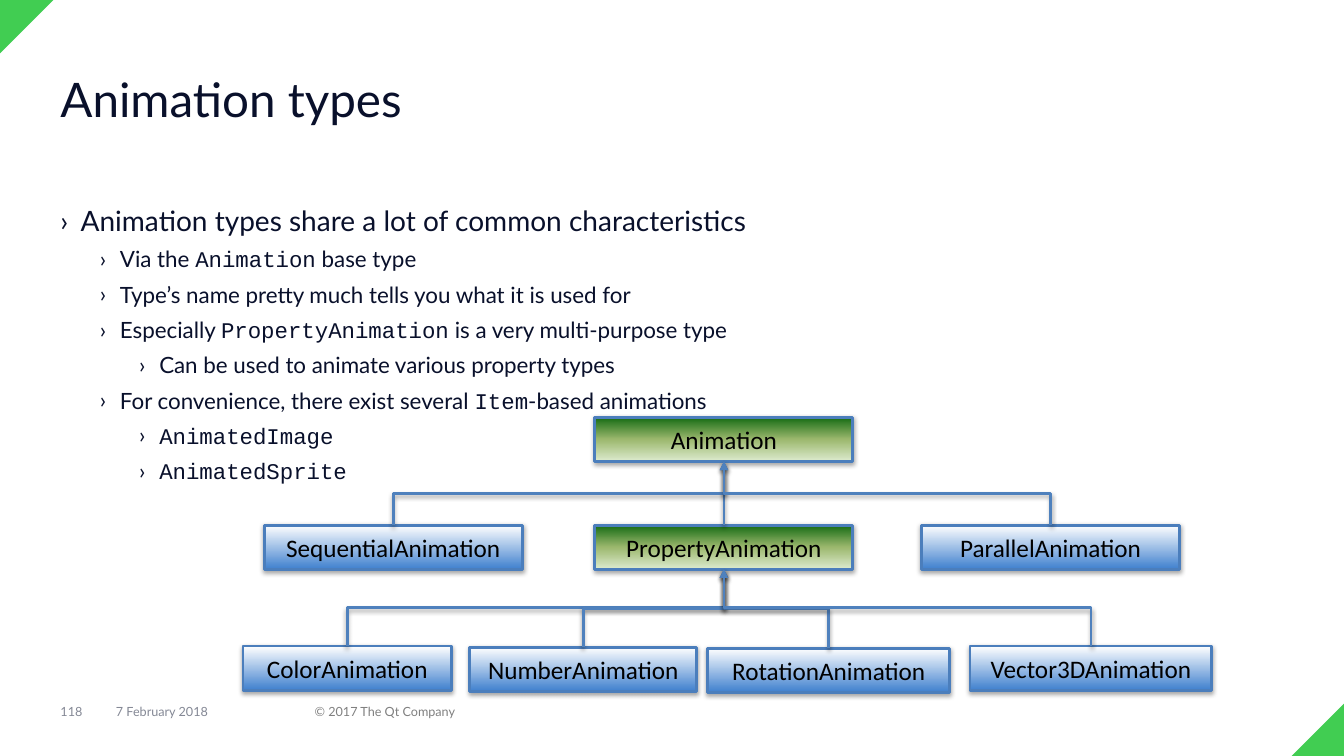
from lxml import etree
from pptx import Presentation, util as u
from pptx.dml import color
from pptx.enum import shapes, text
from pptx.oxml import ns

PX = 9144
HUES = {"green": "41CD52", "ink": "09102B", "grey": "848895", "copy": "808080",
        "edge": "4B7EBC", "link": "4F81BD", "black": "000000"}
GRADS = {"leaf": [(0, "DDEBCF"), (50, "9CB86E"), (100, "156B13")],
         "sky": [(0, "3F80CE"), (100, "FFFFFF")]}
FLAT = {"margin_left": 0, "margin_right": 0, "margin_top": 0,
        "margin_bottom": 0, "word_wrap": True}
MID = text.MSO_ANCHOR.MIDDLE
BULLETS = [
    (0, "Animation types share a lot of common characteristics"),
    (1, "Via the `Animation` base type"),
    (1, "Type’s name pretty much tells you what it is used for"),
    (1, "Especially `PropertyAnimation` is a very multi-purpose type"),
    (2, "Can be used to animate various property types"),
    (1, "For convenience, there exist several `Item`-based animations"),
    (2, "`AnimatedImage`"),
    (2, "`AnimatedSprite`"),
]
NODES = [
    ("Animation", None, "leaf", 590, 414, 256),
    ("PropertyAnimation", "Animation", "leaf", 590, 521, 256),
    ("SequentialAnimation", "Animation", "sky", 262, 521, 256),
    ("ParallelAnimation", "Animation", "sky", 914, 521, 256),
    ("ColorAnimation", "PropertyAnimation", "sky", 241, 641, 207),
    ("NumberAnimation", "PropertyAnimation", "sky", 466, 642, 225),
    ("RotationAnimation", "PropertyAnimation", "sky", 702, 643, 240),
    ("Vector3DAnimation", "PropertyAnimation", "sky", 962, 641, 240),
]
FOOT = [("118", 60, 55, "grey"), ("7 February 2018", 115, 197, "grey"),
        ("© 2017 The Qt Company", 312, 961, "copy")]


def px(*nums):
    """Turn px lengths into EMU."""
    return [u.Emu(round(n * PX)) for n in nums]


def rgb(name):
    """Look up a named colour."""
    return color.RGBColor.from_string(HUES[name])


def put(obj, vals):
    """Set each attribute in a dict of format values."""
    for key, val in vals.items():
        setattr(obj, key, val)


def sub(node, tag, **attrs):
    """Add a drawing element with its attributes."""
    return etree.SubElement(node, ns.qn("a:" + tag), attrs)


def tint(node, hue, alpha=None):
    """Add a colour element, see-through if alpha is given."""
    clr = sub(node, "srgbClr", val=hue)
    if alpha:
        sub(clr, "alpha", val=str(alpha * 1000))


def shade(props, dist, alpha):
    """Give a shape a soft shadow below it."""
    fx = props.find(ns.qn("a:effectLst"))
    fx = sub(props, "effectLst") if fx is None else fx
    out = sub(fx, "outerShdw", blurRad="40000", dist=str(dist),
              dir="5400000", rotWithShape="0")
    tint(out, HUES["black"], alpha)


def write(para, words, size, hue, face="Lato"):
    """Write a run of text in one face."""
    run = para.add_run()
    run.text = words
    put(run.font, {"size": u.Pt(size), "name": face})
    run.font.color.rgb = rgb(hue)


def frame(slide, box, **vals):
    """Add a text box without margins."""
    area = slide.shapes.add_textbox(*px(*box)).text_frame
    put(area, FLAT | vals)
    return area


def corner(slide, box, turn):
    """Add a green corner triangle."""
    tri = slide.shapes.add_shape(shapes.MSO_SHAPE.RIGHT_TRIANGLE, *px(*box))
    tri.rotation = turn
    tri.shadow.inherit = False
    tri.fill.solid()
    tri.fill.fore_color.rgb = rgb("green")
    tri.line.fill.background()


def bullets(slide):
    """Add the bulleted body text."""
    area = frame(slide, (60, 202, 1213, 473))
    for i, (level, words) in enumerate(BULLETS):
        para = area.add_paragraph() if i else area.paragraphs[0]
        put(para, {"level": level, "space_before": u.Pt(6 if i else 0)})
        left, hang = px(20 + 39 * level, -20)
        props = para._p.get_or_add_pPr()
        props.set("marL", str(left))
        props.set("indent", str(hang))
        sub(props, "buFont", typeface="Lato")
        sub(props, "buChar", char="›")
        for j, part in enumerate(words.split("`")):
            if part:
                write(para, part, 16 if level else 20, "ink",
                      "Courier New" if j % 2 else "Lato")


def node(slide, name, grad, x, y, wide):
    """Add a shaded type box."""
    box = slide.shapes.add_shape(shapes.MSO_SHAPE.RECTANGLE, *px(x, y, wide, 44))
    box.fill.gradient()
    box.fill.gradient_angle = 90
    stops = box._element.spPr.find(".//" + ns.qn("a:gsLst"))
    stops.clear()
    for pos, hue in GRADS[grad]:
        tint(sub(stops, "gs", pos=str(pos * 1000)), hue)
    box.line.color.rgb = rgb("edge")
    box.line.width = u.Pt(2)
    box.shadow.inherit = False
    shade(box._element.spPr, 23000, 35)
    put(box.text_frame, {"vertical_anchor": MID, "word_wrap": False})
    para = box.text_frame.paragraphs[0]
    para.alignment = text.PP_ALIGN.CENTER
    write(para, name, 18, "black", "Calibri")
    return box


def link(slide, kid, base):
    """Join the top of a box to the base of its parent with an arrow."""
    x, y = kid.left + kid.width // 2, kid.top
    ex, ey = base.left + base.width // 2, base.top + base.height
    kinds = shapes.MSO_CONNECTOR
    kind = kinds.STRAIGHT if x == ex else kinds.ELBOW
    line = slide.shapes.add_connector(kind, x, y, ex, ey)
    line.begin_connect(kid, 0)
    line.end_connect(base, 2)
    props = line._element.spPr
    if x != ex:
        wide, high = abs(ex - x), y - ey
        put(line, {"left": (x + ex - high) // 2, "top": (y + ey - wide) // 2,
                   "width": high, "height": wide})
        form = props.find(ns.qn("a:xfrm"))
        form.set("rot", "5400000" if x < ex else "16200000")
        form.set("flipH", "1" if x < ex else "0")
        form.set("flipV", "1")
    line.line.color.rgb = rgb("link")
    line.line.width = u.Pt(2)
    sub(props.find(ns.qn("a:ln")), "tailEnd", type="triangle")
    shade(props, 20000, 38)


def main():
    """Build the slide and save it."""
    deck = Presentation()
    deck.slide_width, deck.slide_height = px(1333, 750)
    slide = deck.slides.add_slide(deck.slide_layouts[6])
    corner(slide, (-1, 0, 54, 54), 90)
    corner(slide, (1281, 698, 52, 52), 270)
    head = frame(slide, (60, 76, 1213, 102)).paragraphs[0]
    head.line_spacing = 0.9
    write(head, "Animation types", 34, "ink")
    bullets(slide)
    boxes = {}
    for name, base, *form in NODES:
        boxes[name] = node(slide, name, *form)
        if base:
            link(slide, boxes[name], boxes[base])
    for words, x, wide, hue in FOOT:
        area = frame(slide, (x, 698, wide, 16), vertical_anchor=MID)
        write(area.paragraphs[0], words, 9, hue)
    deck.save("out.pptx")


if __name__ == "__main__":
    main()
